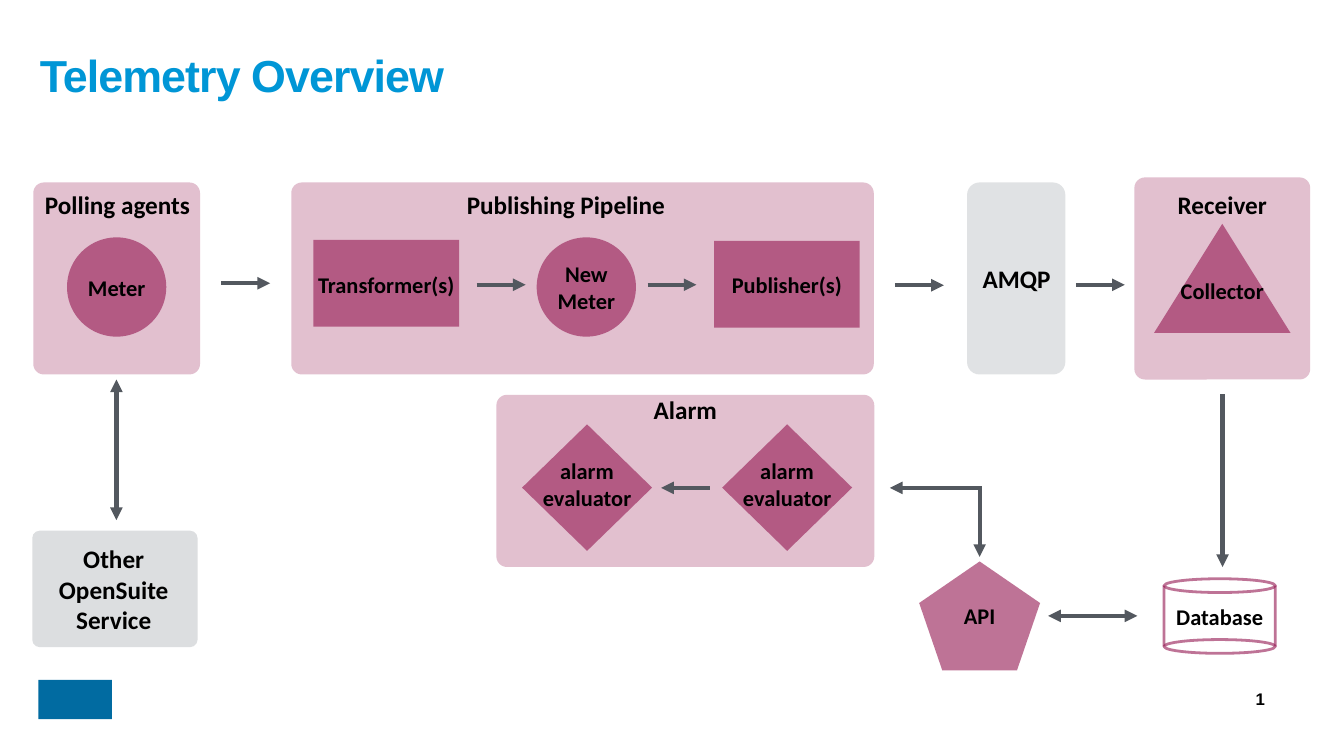
from lxml.etree import SubElement
from pptx import Presentation
from pptx.dml.color import RGBColor
from pptx.enum.shapes import MSO_CONNECTOR, MSO_SHAPE
from pptx.enum.text import MSO_ANCHOR, PP_ALIGN
from pptx.oxml.ns import qn
from pptx.util import Inches, Pt

# Theme: colours as (hex, opacity %), type sizes and line widths in points
THEME = {
    "panel": ("941751", 27), "node": ("941751", 60), "grey": ("DCDEE0", 86),
    "solid grey": ("DCDEE0", 100), "mark": ("016BA1", 100),
    "arrow": ("53585F", 100), "title": "0096D6", "text": "000000",
    "body font": "Calibri", "title font": "Arial",
    "title size": 64, "heading size": 36, "label size": 32, "number size": 24,
    "arrow width": 6, "outline width": 4,
}

# Grid: 80 columns by 45 rows of square cells; all lengths below are in cells
SLIDE_SIZE = Inches(26.67), Inches(15)
CELL = SLIDE_SIZE[1] / 45
LINE_HEIGHT = 1.2

TITLE = ("Telemetry Overview", 2.13, 2.55, 74.94, 4.17)
PAGE_NUMBER = ("1", 74.49, 40.77, 1.05, 1.71)
LOGO_BLOCK = (2.28, 40.47, 4.38, 2.34)

# Panels: text, colour, corner radius, box, heading (shift from centre, middle row, width)
PANELS = [
    ("Alarm", "panel", 0.63, (29.55, 23.5, 22.5, 10.25), (0, 24.38, 12.42)),
    ("Receiver", "panel", 0.63, (67.53, 10.56, 10.47, 12.03), (0, 12.17, 9.63)),
    ("Polling agents", "panel", 0.63, (1.98, 10.86, 9.93, 11.43), (0.05, 12.17, 9.63)),
    ("Publishing Pipeline", "panel", 0.63, (17.34, 10.86, 34.68, 11.43), (-0.99, 12.17, 12.42)),
    ("AMQP", "grey", 0.74, (57.57, 10.86, 5.85, 11.43), (0.03, 16.58, 5.91)),
    ("Other\nOpenSuite\nService", "solid grey", 0.44, (1.92, 31.59, 9.84, 6.93), (-0.07, 35.06, 8)),
]

# Node kinds: preset, width, height, label width
KINDS = {
    "circle": (MSO_SHAPE.OVAL, 5.91, 5.91, 5.16),
    "square": (MSO_SHAPE.RECTANGLE, 8.67, 5.16, 8.13),
    "diamond": (MSO_SHAPE.DIAMOND, 7.74, 7.53, 8.13),
    "pentagon": (MSO_SHAPE.REGULAR_PENTAGON, 7.2, 6.48, 5.16),
    "triangle": (MSO_SHAPE.ISOSCELES_TRIANGLE, 8.13, 6.5, 5.16),
}
# Nodes: text, kind, column, row, middle row of the label
NODES = [
    ("Meter", "circle", 3.99, 14.13, 17.1),
    ("Transformer(s)", "square", 18.66, 14.28, 16.92),
    ("New\nMeter", "circle", 31.95, 14.13, 17.1),
    ("Publisher(s)", "square", 42.51, 14.34, 16.95),
    ("Collector", "triangle", 68.7, 13.32, 17.28),
    ("alarm\nevaluator", "diamond", 42.99, 25.26, 28.83),
    ("alarm\nevaluator", "diamond", 31.08, 25.26, 28.83),
    ("API", "pentagon", 54.72, 33.42, 36.66),
]

# Database cylinder: text, left, right, middle of the lids, lid height
DATABASE = ("Database", 69.3, 75.92, (34.86, 38.48), 0.82)

# Arrows: from, to, ends that carry a head
ARROWS = [
    ((13.17, 16.86), (16.08, 16.86), "tail"),
    ((28.38, 16.95), (31.29, 16.95), "tail"),
    ((38.55, 16.95), (41.46, 16.95), "tail"),
    ((53.28, 16.98), (56.19, 16.98), "tail"),
    ((64.05, 16.95), (66.96, 16.95), "tail"),
    ((72.78, 23.46), (72.78, 33.75), "tail"),
    ((62.4, 36.66), (67.71, 36.66), "head tail"),
    ((6.93, 22.59), (6.93, 30.96), "head tail"),
    ((39.36, 29.04), (42.27, 29.04), "head"),
    ((52.98, 29.04), (58.32, 29.04), "head"),
    ((58.32, 28.95), (58.32, 33.15), "tail"),
]


def cells(*values):
    return [round(value * CELL) for value in values]


def paint(color_format, color):
    """Apply a (hex, opacity) pair to a solid fill."""
    value, opacity = color
    color_format.solid()
    color_format.fore_color.rgb = RGBColor.from_string(value)
    if opacity < 100:
        tint = color_format._xPr.find(".//" + qn("a:srgbClr"))
        SubElement(tint, qn("a:alpha"), val=str(opacity * 1000))


def add_block(page, preset, box, color):
    block = page.shapes.add_shape(preset, *cells(*box))
    block.shadow.inherit = False
    block.line.fill.background()
    paint(block.fill, THEME[color])
    return block


def add_text(page, text, box, size, font=THEME["body font"], color=THEME["text"],
             align=PP_ALIGN.CENTER, inset=0.0, wrap=True):
    label = page.shapes.add_textbox(*cells(*box))
    frame = label.text_frame
    frame.word_wrap = wrap
    frame.margin_left = frame.margin_right = Inches(inset)
    frame.margin_top = frame.margin_bottom = Inches(inset)
    frame.text = text
    for para in frame.paragraphs:
        para.alignment = align
        for span in para.runs:
            span.font.name, span.font.size, span.font.bold = font, Pt(size), True
            span.font.color.rgb = RGBColor.from_string(color)
    return frame


def add_label(page, text, center, middle, width, size):
    """Text centred on a point, as tall as its lines."""
    height = len(text.split("\n")) * size * LINE_HEIGHT / 72 * 3
    add_text(page, text, (center - width / 2, middle - height / 2, width, height), size)


def add_line(page, start, end, color, width, heads=""):
    line = page.shapes.add_connector(MSO_CONNECTOR.STRAIGHT, *cells(*start, *end))
    line.line.width = Pt(width)
    paint(line.line.fill, THEME[color])
    outline = line.line._get_or_add_ln()
    for name in heads.split():
        SubElement(outline, qn(f"a:{name}End"), type="triangle")
    SubElement(line._element.spPr, qn("a:effectLst"))


def add_database(page):
    text, left, right, lids, height = DATABASE
    for middle in lids:
        lid = page.shapes.add_shape(
            MSO_SHAPE.OVAL, *cells(left, middle - height / 2, right - left, height))
        lid.shadow.inherit = False
        lid.fill.background()
        lid.line.width = Pt(THEME["outline width"])
        paint(lid.line.fill, THEME["node"])
    for column in (left, right):
        add_line(page, (column, lids[1]), (column, lids[0]), "node", THEME["outline width"])
    add_label(page, text, (left + right) / 2, sum(lids) / 2, right - left, THEME["label size"])


def main():
    deck = Presentation()
    deck.slide_width, deck.slide_height = SLIDE_SIZE
    page = deck.slides.add_slide(deck.slide_layouts[6])

    # Title, page number and corner mark
    text, *box = TITLE
    title = add_text(page, text, box, THEME["title size"], THEME["title font"],
                     THEME["title"], PP_ALIGN.LEFT, 0.08)
    title.vertical_anchor = MSO_ANCHOR.MIDDLE
    title.paragraphs[0].line_spacing = 0.9
    title.paragraphs[0].runs[0].font._element.set("spc", "-130")
    text, *box = PAGE_NUMBER
    add_text(page, text, box, THEME["number size"], THEME["title font"],
             align=PP_ALIGN.RIGHT, inset=0.08, wrap=False)
    add_block(page, MSO_SHAPE.RECTANGLE, LOGO_BLOCK, "mark")

    # Panels with their headings
    for text, color, radius, box, (shift, middle, width) in PANELS:
        panel = add_block(page, MSO_SHAPE.ROUNDED_RECTANGLE, box, color)
        panel.adjustments[0] = radius / min(box[2:])
        add_label(page, text, box[0] + box[2] / 2 + shift, middle, width, THEME["heading size"])

    # Nodes with their labels
    for text, kind, column, row, middle in NODES:
        preset, width, height, label_width = KINDS[kind]
        add_block(page, preset, (column, row, width, height), "node")
        add_label(page, text, column + width / 2, middle, label_width, THEME["label size"])

    # Database and arrows
    add_database(page)
    for start, end, heads in ARROWS:
        add_line(page, start, end, "arrow", THEME["arrow width"], heads)

    deck.save("out.pptx")


if __name__ == "__main__":
    main()
